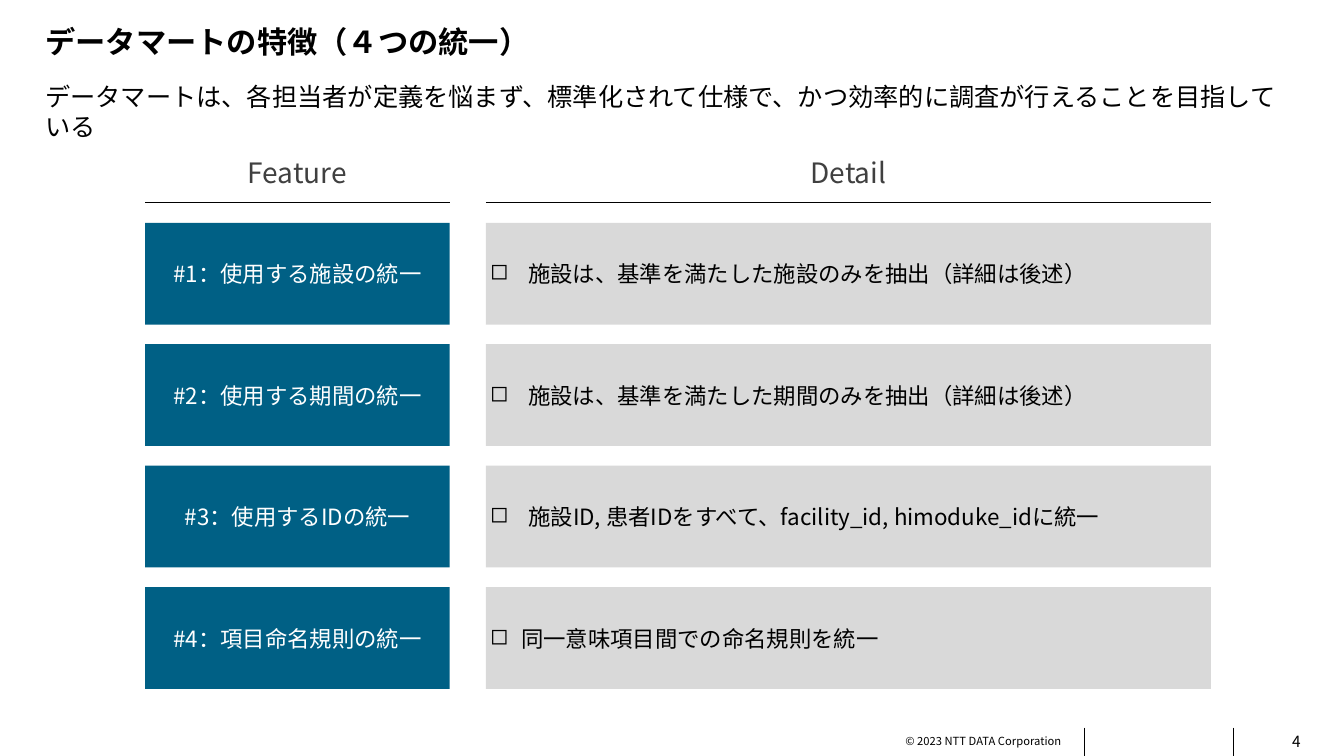
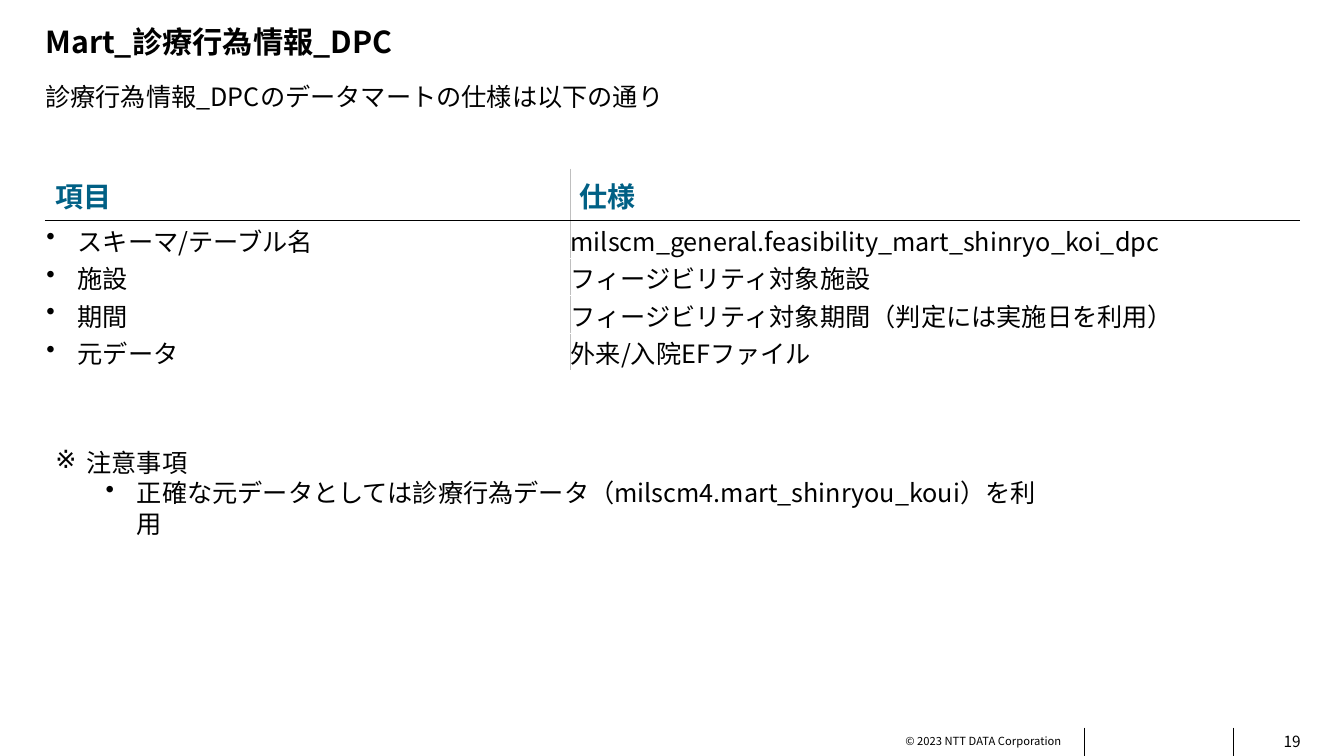
"""Build two slides on the unified rules and the spec of a data mart."""
from lxml.etree import SubElement
from pptx import Presentation
from pptx.dml.color import RGBColor
from pptx.enum.shapes import MSO_CONNECTOR, MSO_SHAPE
from pptx.enum.text import MSO_ANCHOR, MSO_AUTO_SIZE, PP_ALIGN
from pptx.oxml.ns import qn
from pptx.util import Inches, Pt

FONT = "Noto Sans CJK JP"
COLORS = {"ink": "000000", "paper": "FFFFFF", "teal": "006085",
          "gray": "D9D9D9", "rule": "BFBFBF", "head": "404040"}
LEFT, WIDTH = 0.45, 12.44
FLUSH = (0, 0.05, 0, 0.05)


def shade(name):
    return RGBColor.from_string(COLORS[name])


class Deck:
    def __init__(self):
        self.show = Presentation()
        self.show.slide_width = Inches(13.33)
        self.show.slide_height = Inches(7.5)
        self.slide = None

    def style(self, para, size, color="ink", bold=False, align=PP_ALIGN.LEFT):
        para.alignment = align
        font = para.font
        font.size, font.bold = Pt(size), bold
        font.color.rgb = shade(color)
        font.name = FONT
        props = para._p.pPr.find(qn("a:defRPr"))
        SubElement(props, qn("a:ea")).set("typeface", FONT)

    def bullet(self, para, mark, left=0.31, hang=0.31):
        props = para._p.get_or_add_pPr()
        props.set("marL", str(Inches(left)))
        props.set("indent", str(-Inches(hang)))
        SubElement(props, qn("a:buChar")).set("char", mark)

    def frame(self, frame, pads, anchor=MSO_ANCHOR.TOP):
        frame.word_wrap = True
        frame.auto_size = MSO_AUTO_SIZE.NONE
        frame.vertical_anchor = anchor
        (frame.margin_left, frame.margin_top, frame.margin_right,
         frame.margin_bottom) = map(Inches, pads)
        return frame

    def text(self, words, x, y, w, h, size, pads=FLUSH, **look):
        box = self.slide.shapes.add_textbox(*map(Inches, (x, y, w, h)))
        frame = self.frame(box.text_frame, pads)
        frame.text = words
        self.style(frame.paragraphs[0], size, **look)

    def line(self, x1, y1, x2, y2, width):
        line = self.slide.shapes.add_connector(
            MSO_CONNECTOR.STRAIGHT, *map(Inches, (x1, y1, x2, y2)))
        line.line.color.rgb = shade("ink")
        line.line.width = Pt(width)
        SubElement(line._element.spPr, qn("a:effectLst"))

    def card(self, words, x, y, w, h, fill, color, align, indent=None):
        card = self.slide.shapes.add_shape(
            MSO_SHAPE.RECTANGLE, *map(Inches, (x, y, w, h)))
        card.shadow.inherit = False
        card.fill.solid()
        card.fill.fore_color.rgb = shade(fill)
        card.line.fill.background()
        frame = self.frame(card.text_frame, (0.04,) * 4, MSO_ANCHOR.MIDDLE)
        frame.text = words
        para = frame.paragraphs[0]
        if indent:
            self.bullet(para, "◻", indent, indent)
        self.style(para, 16, color, align=align)

    def page(self, title, lead, number):
        self.slide = self.show.slides.add_slide(self.show.slide_layouts[5])
        head = self.slide.shapes.title
        head.left, head.top = Inches(LEFT), Inches(0.18)
        head.width, head.height = Inches(WIDTH), Inches(0.45)
        frame = self.frame(head.text_frame, FLUSH)
        frame.text = title
        self.style(frame.paragraphs[0], 21.6, bold=True)
        self.text(lead, LEFT, 0.76, WIDTH, 0.73, 18)
        self.text("© 2023 NTT DATA Corporation", 8.59, 7.24, 1.94, 0.24, 8,
                  align=PP_ALIGN.RIGHT)
        for x in (10.76, 12.23):
            self.line(x, 7.22, x, 7.5, 0.75)
        self.text(number, 12.31, 7.21, 0.59, 0.29, 11, align=PP_ALIGN.RIGHT)

    def edge(self, cell, side, color, width):
        props = cell._tc.get_or_add_tcPr()
        line = SubElement(props, qn("a:ln" + side), w=str(Pt(width)))
        fill = SubElement(line, qn("a:solidFill"))
        SubElement(fill, qn("a:srgbClr"), val=COLORS[color])

    def cell(self, cell, words, row, col):
        top = row == 0
        cell.text = words
        cell.vertical_anchor = MSO_ANCHOR.MIDDLE
        pads = (0.1, 0.05, 0.1, 0.05) if top else (0.01, 0.01, 0.01, 0)
        (cell.margin_left, cell.margin_top, cell.margin_right,
         cell.margin_bottom) = map(Inches, pads)
        para = cell.text_frame.paragraphs[0]
        if col == 0 and not top:
            self.bullet(para, "•")
        self.style(para, 20 if top else 18, "teal" if top else "ink", top)
        plain, rule = ("paper", 1), ("rule", 0.25)
        self.edge(cell, "L", *(rule if col == 1 else plain))
        self.edge(cell, "R", *(rule if col == 0 else plain))
        self.edge(cell, "T", "ink" if row == 1 else "paper", 1)
        self.edge(cell, "B", "ink" if top else "paper", 1)
        cell.fill.solid()
        cell.fill.fore_color.rgb = shade("paper")

    def grid(self, rows, x, y, widths, heights):
        size = map(Inches, (x, y, sum(widths), sum(heights)))
        table = self.slide.shapes.add_table(
            len(rows), len(widths), *size).table
        table.horz_banding = False
        for col, width in zip(table.columns, widths):
            col.width = Inches(width)
        for r, (row, height) in enumerate(zip(rows, heights)):
            table.rows[r].height = Inches(height)
            for c, words in enumerate(row):
                self.cell(table.cell(r, c), words, r, c)

    def notes(self, items, x, y, w, h):
        box = self.slide.shapes.add_textbox(*map(Inches, (x, y, w, h)))
        frame = self.frame(box.text_frame, (0.1, 0.05, 0.1, 0.05))
        for i, (words, mark, left) in enumerate(items):
            para = frame.add_paragraph() if i else frame.paragraphs[0]
            para.text = words
            para.level = i
            self.bullet(para, mark, left)
            self.style(para, 18)


def traits(deck):
    deck.page("データマートの特徴（４つの統一）",
              "データマートは、各担当者が定義を悩まず、標準化されて仕様で、"
              "かつ効率的に調査が行えることを目指している", "4")
    cols = (("Feature", 1.44, 3.02), ("Detail", 4.82, 7.19))
    for name, x, w in cols:
        deck.text(name, x, 1.49, w, 0.44, 20, color="head",
                  align=PP_ALIGN.CENTER)
        deck.line(x, 2.01, x + w, 2.01, 0.25)
    rows = (
        ("#1：使用する施設の統一",
         "施設は、基準を満たした施設のみを抽出（詳細は後述）", 0.38),
        ("#2：使用する期間の統一",
         "施設は、基準を満たした期間のみを抽出（詳細は後述）", 0.38),
        ("#3：使用するIDの統一",
         "施設ID, 患者IDをすべて、facility_id, himoduke_idに統一", 0.38),
        ("#4：項目命名規則の統一", "同一意味項目間での命名規則を統一", 0.31),
    )
    (_, x1, w1), (_, x2, w2) = cols
    for i, (name, detail, indent) in enumerate(rows):
        y = 2.21 + i * 1.205
        deck.card(name, x1, y, w1, 1.01, "teal", "paper", PP_ALIGN.CENTER)
        deck.card(detail, x2, y, w2, 1.01, "gray", "ink", PP_ALIGN.LEFT,
                  indent)


def specs(deck):
    deck.page("Mart_診療行為情報_DPC",
              "診療行為情報_DPCのデータマートの仕様は以下の通り", "19")
    rows = (
        ("項目", "仕様"),
        ("スキーマ/テーブル名",
         "milscm_general.feasibility_mart_shinryo_koi_dpc"),
        ("施設", "フィージビリティ対象施設"),
        ("期間", "フィージビリティ対象期間（判定には実施日を利用）"),
        ("元データ", "外来/入院EFファイル"),
    )
    deck.grid(rows, LEFT, 1.68, (5.2, 7.24), (0.51,) + (0.37,) * 4)
    deck.notes((
        ("注意事項", "※", 0.31),
        ("正確な元データとしては診療行為データ"
         "（milscm4.mart_shinryou_koui）を利用", "•", 0.81),
    ), LEFT, 4.39, 10.13, 0.71)


def main():
    deck = Deck()
    traits(deck)
    specs(deck)
    deck.show.save("out.pptx")


if __name__ == "__main__":
    main()
